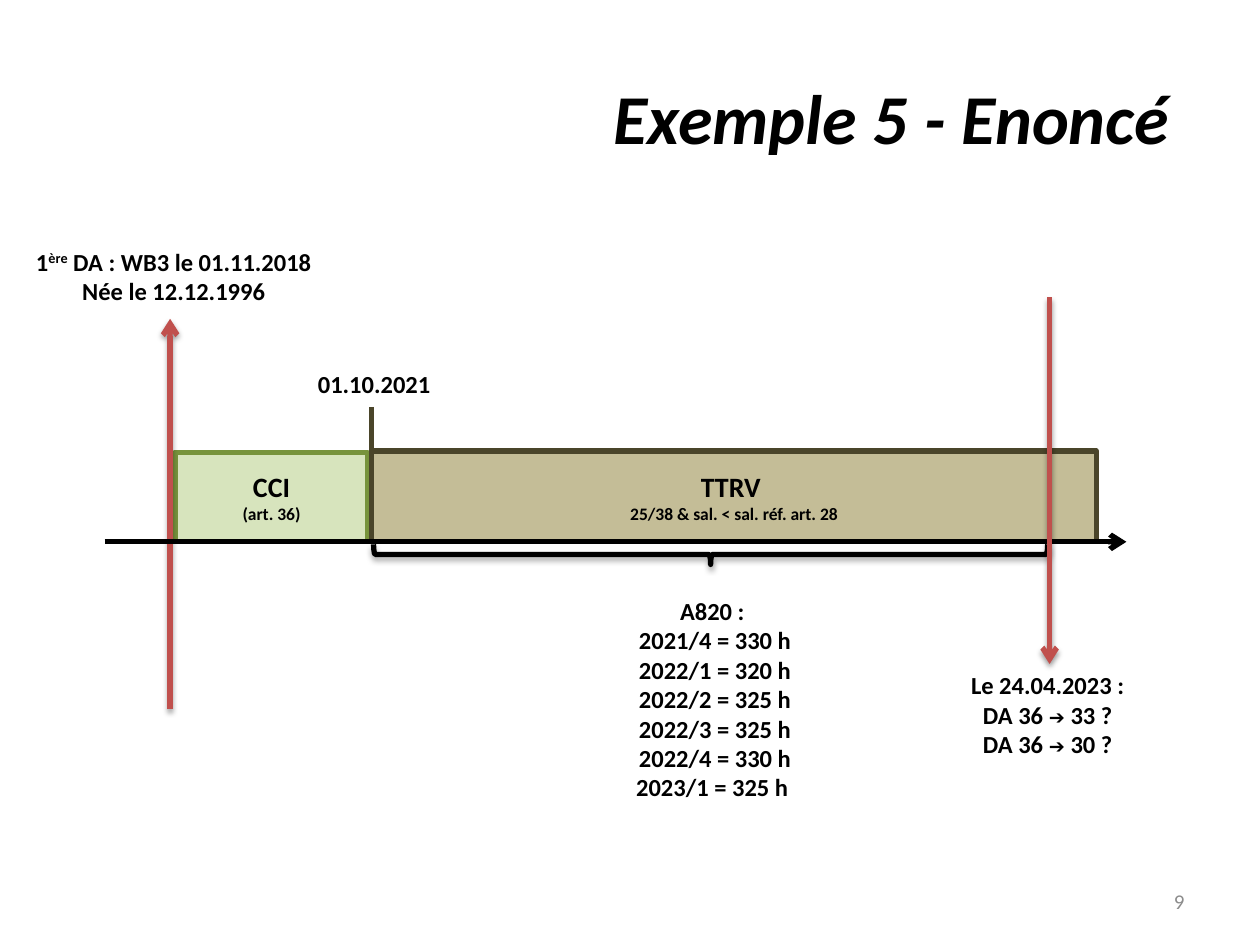
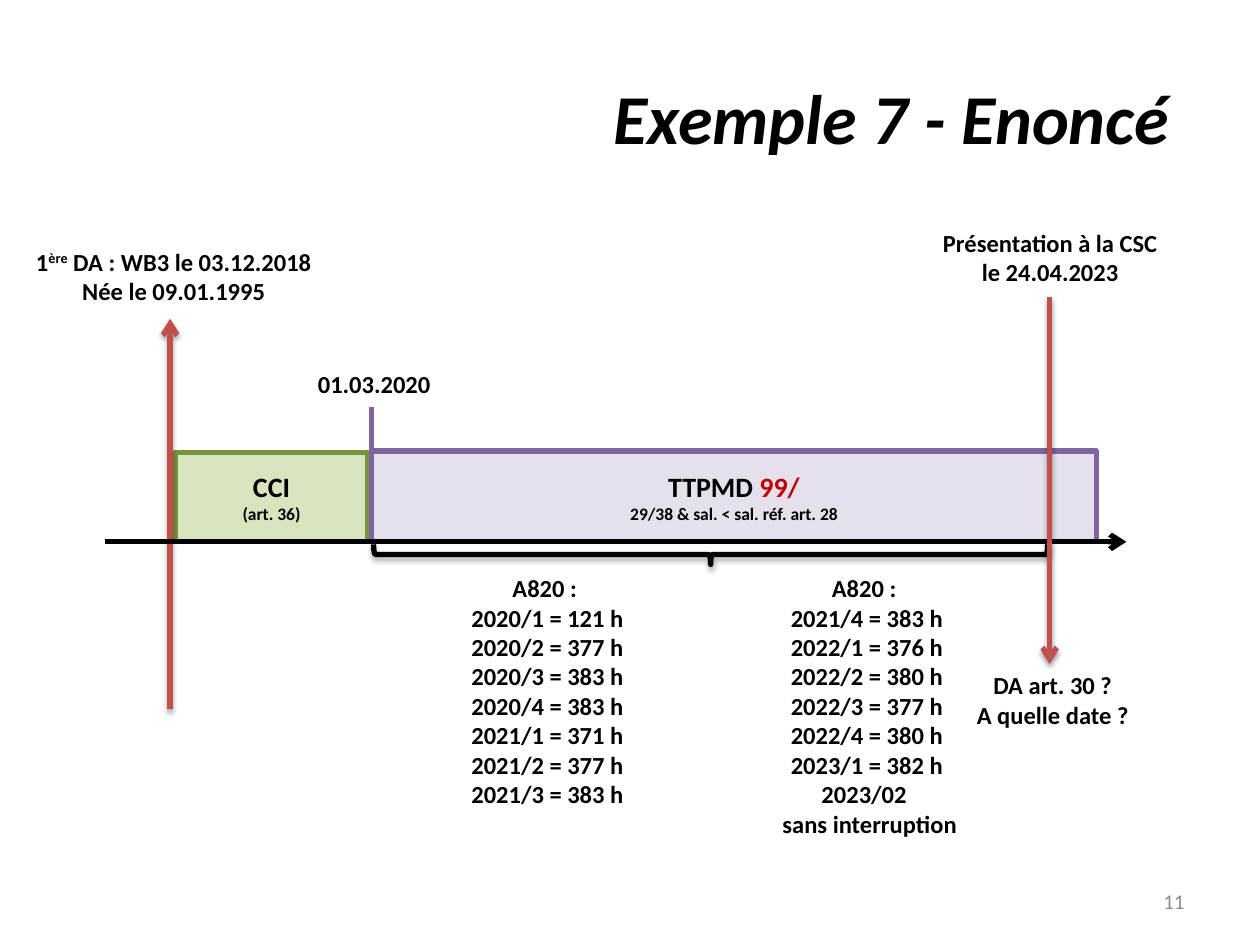
from lxml.etree import SubElement
from pptx import Presentation
from pptx.dml.color import RGBColor
from pptx.enum.shapes import MSO_CONNECTOR, MSO_SHAPE
from pptx.enum.text import MSO_ANCHOR, PP_ALIGN
from pptx.oxml.ns import qn
from pptx.util import Inches, Pt

ARROW = ("➔", {"size": 11})
HOURS_HEAD = "A820 : "

SLIDES = [
    {
        "title": "Exemple 5 - Enoncé ",
        "number": "9",
        "first": "01.11.2018",
        "born": "12.12.1996",
        "change": "01.10.2021",
        "status": "TTRV ",
        "regime": "25/38 & sal. < sal. réf. art. 28",
        "fill": "C4BD97",
        "line": "4A452A",
        "notes": [
            ((4.6, 4.68, 2.15, 1.75),
             [HOURS_HEAD, "2021/4 = 330 h", "2022/1 = 320 h", "2022/2 = 325 h",
              "2022/3 = 325 h", "2022/4 = 330 h", "2023/1 = 325 h "]),
            ((7.29, 5.27, 2.05, 0.81),
             ["Le 24.04.2023 :", ["DA 36 ", ARROW, " 33 ?"], ["DA 36 ", ARROW, " 30 ?"]]),
        ],
    },
    {
        "title": "Exemple 7 - Enoncé ",
        "number": "11",
        "first": "03.12.2018",
        "born": "09.01.1995",
        "change": "01.03.2020",
        "status": ["TTPMD ", ("99/", {"color": "C00000"})],
        "regime": "29/38 & sal. < sal. réf. art. 28",
        "fill": "E6E0EC",
        "line": "8064A2",
        "notes": [
            ((3.27, 4.5, 2.15, 1.99),
             [HOURS_HEAD, "2020/1 = 121 h", "2020/2 = 377 h", "2020/3 = 383 h",
              "2020/4 = 383 h", "2021/1 = 371 h", "2021/2 = 377 h", "2021/3 = 383 h"]),
            ((5.62, 4.5, 2.52, 2.22),
             [HOURS_HEAD, "2021/4 = 383 h", "2022/1 = 376 h", "2022/2 = 380 h",
              "2022/3 = 377 h", "2022/4 = 380 h", "2023/1 = 382 h", "2023/02 ",
              " sans interruption"]),
            ((7.33, 5.27, 2.05, 0.57), ["DA art. 30 ?", "A quelle date ?"]),
            ((7.31, 1.76, 2.05, 0.57), ["Présentation à la CSC", "le 24.04.2023"]),
        ],
    },
]

FONT = "Calibri"
BLACK, GREY, RED = "000000", "8C8C8C", "C0504D"
CCI_FILL, CCI_LINE = "D7E4BD", "77933C"
LINE_WIDTH = 3
# The timeline: dates across, axis down
FIRST_X, CHANGE_X, TODAY_X, BAR_END = 1.35, 2.95, 8.33, 8.7
AXIS_Y, AXIS_LEFT, AXIS_RIGHT = 4.3, 0.83, 8.94
CCI_TOP, BAR_TOP = 3.59, 3.58
BRACE_DEPTH, BRACE_LENGTH, BRACE_MID = 0.16, 5.35, (5.64, 4.4)
ARROW_SHADOW, BRACE_SHADOW = (38, 3.1, 1.6), (35, 3.1, 1.8)


def rgb(value):
    return RGBColor.from_string(value)


def write(tf, paragraphs, align=PP_ALIGN.CENTER, anchor=MSO_ANCHOR.TOP, **base):
    """Fill a text frame; a paragraph is a string or a list of strings and (text, format) runs."""
    tf.word_wrap = True
    tf.vertical_anchor = anchor
    for i, runs in enumerate(paragraphs):
        p = tf.paragraphs[0] if i == 0 else tf.add_paragraph()
        p.alignment = align
        for run in runs if isinstance(runs, list) else [runs]:
            text, own = run if isinstance(run, tuple) else (run, {})
            fmt = {"size": 14, "bold": True, "color": BLACK, "name": FONT, **base, **own}
            r = p.add_run()
            r.text = text
            r.font.color.rgb = rgb(fmt.pop("color"))
            r.font.size = Pt(fmt.pop("size"))
            if "baseline" in fmt:
                r.font._element.set("baseline", fmt.pop("baseline"))
            for name, value in fmt.items():
                setattr(r.font, name, value)


def text_box(s, box, paragraphs, **fmt):
    write(s.shapes.add_textbox(*map(Inches, box)).text_frame, paragraphs, **fmt)


def outline(shape, color, shadow=None):
    """Set the line, then either no shadow or one falling straight down."""
    shape.line.color.rgb = rgb(color)
    shape.line.width = Pt(LINE_WIDTH)
    effects = SubElement(shape._element.spPr, qn("a:effectLst"))
    if shadow:
        alpha, blur, dist = shadow
        outer = SubElement(effects, qn("a:outerShdw"), blurRad=str(Pt(blur)),
                           dist=str(Pt(dist)), dir="5400000", rotWithShape="0")
        black = SubElement(outer, qn("a:srgbClr"), val=BLACK)
        SubElement(black, qn("a:alpha"), val=str(alpha * 1000))


def line(s, start, end, color, arrow=True, shadow=None):
    c = s.shapes.add_connector(MSO_CONNECTOR.STRAIGHT, *map(Inches, start + end))
    outline(c, color, shadow)
    if arrow:
        SubElement(c.line._get_or_add_ln(), qn("a:tailEnd"), type="arrow")


def period(s, left, top, right, fill, color, status, regime):
    """A bar standing on the axis."""
    box = left, top, right - left, AXIS_Y - top
    sp = s.shapes.add_shape(MSO_SHAPE.RECTANGLE, *map(Inches, box))
    sp.fill.solid()
    sp.fill.fore_color.rgb = rgb(fill)
    outline(sp, color)
    write(sp.text_frame, [status, [(regime, {"size": 10})]], anchor=MSO_ANCHOR.MIDDLE, size=16)


def brace(s):
    x, y = BRACE_MID
    box = x - BRACE_DEPTH / 2, y - BRACE_LENGTH / 2, BRACE_DEPTH, BRACE_LENGTH
    sp = s.shapes.add_shape(MSO_SHAPE.LEFT_BRACE, *map(Inches, box))
    sp.rotation = 270
    sp.fill.background()
    outline(sp, BLACK, BRACE_SHADOW)


def build(prs, case):
    s = prs.slides.add_slide(prs.slide_layouts[5])
    title = s.shapes.title
    title.left, title.top, title.width, title.height = map(Inches, (0.5, 0.3, 9, 1.25))
    write(title.text_frame, [case["title"]], PP_ALIGN.RIGHT, MSO_ANCHOR.MIDDLE,
          size=40, italic=True)
    text_box(s, (7.17, 6.95, 2.33, 0.4), [case["number"]], align=PP_ALIGN.RIGHT,
             anchor=MSO_ANCHOR.MIDDLE, size=12, bold=False, color=GREY)

    text_box(s, (2.34, 2.88, 1.26, 0.34), [case["change"]])
    text_box(s, (0, 1.91, 2.76, 0.57),
             [["1", ("ère", {"baseline": "30000"}), f" DA : WB3 le {case['first']}"],
              f"Née le {case['born']}"])

    period(s, 1.39, CCI_TOP, 2.92, CCI_FILL, CCI_LINE, "CCI", "(art. 36)")
    period(s, CHANGE_X, BAR_TOP, BAR_END, case["fill"], case["line"],
           case["status"], case["regime"])
    line(s, (FIRST_X, 5.63), (FIRST_X, 2.53), RED, shadow=ARROW_SHADOW)
    line(s, (CHANGE_X, 3.23), (CHANGE_X, 4.32), case["line"], arrow=False)
    brace(s)
    line(s, (AXIS_LEFT, AXIS_Y), (AXIS_RIGHT, AXIS_Y), BLACK)
    line(s, (TODAY_X, 2.36), (TODAY_X, 5.27), RED, shadow=ARROW_SHADOW)
    for box, paragraphs in case["notes"]:
        text_box(s, box, paragraphs)


def main():
    prs = Presentation()
    prs.slide_width, prs.slide_height = Inches(10), Inches(7.5)
    for case in SLIDES:
        build(prs, case)
    prs.save("out.pptx")


if __name__ == "__main__":
    main()
